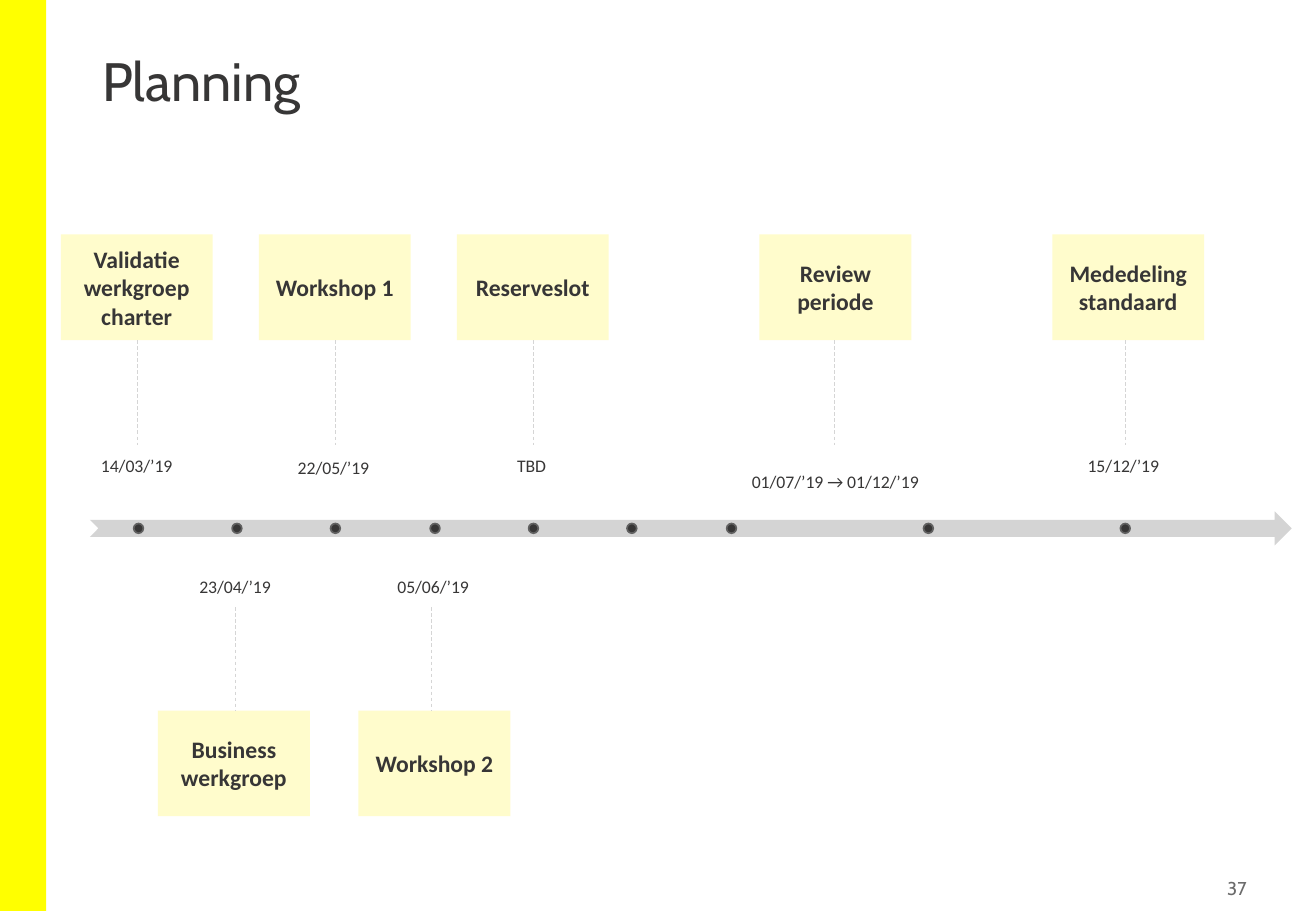
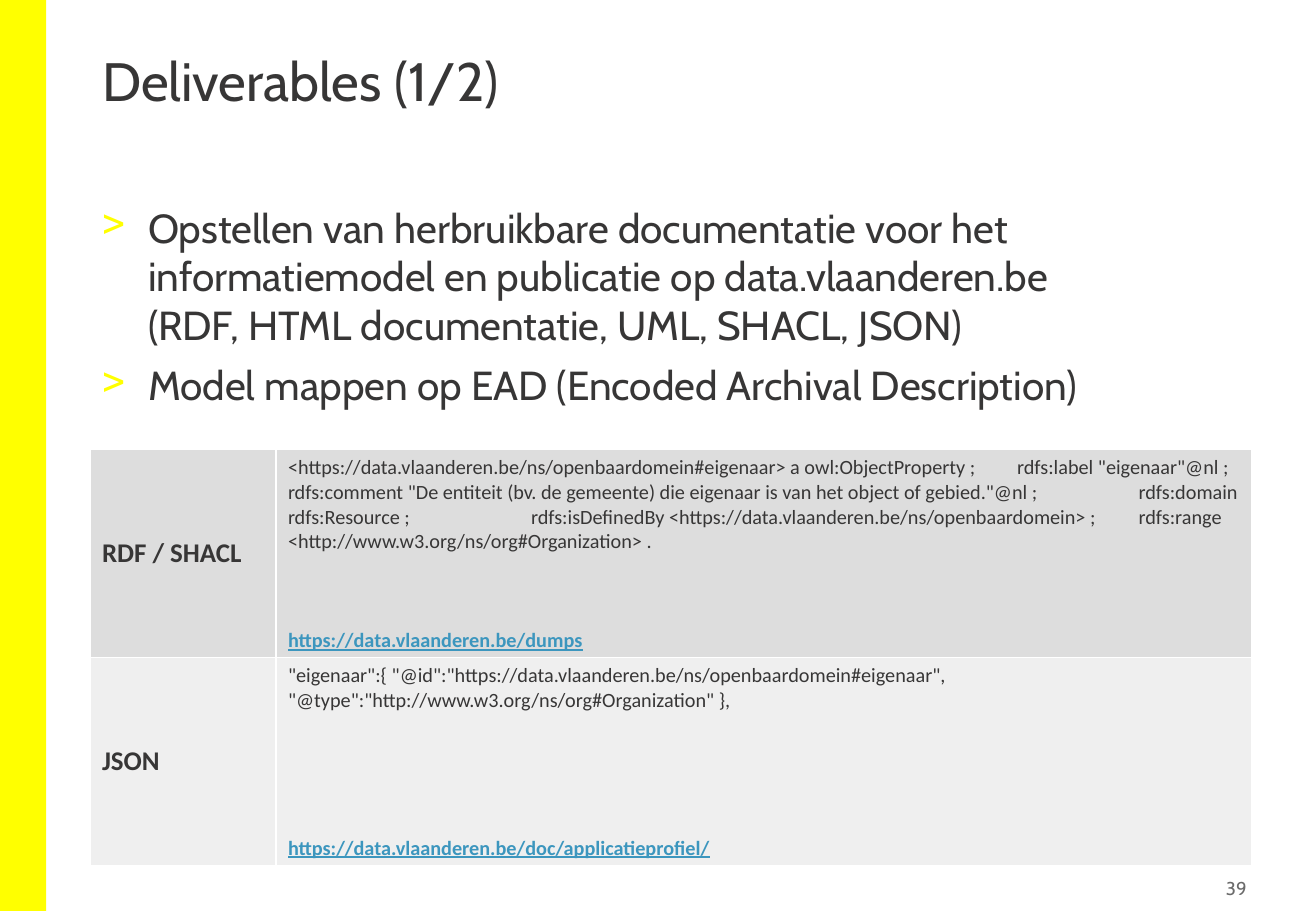
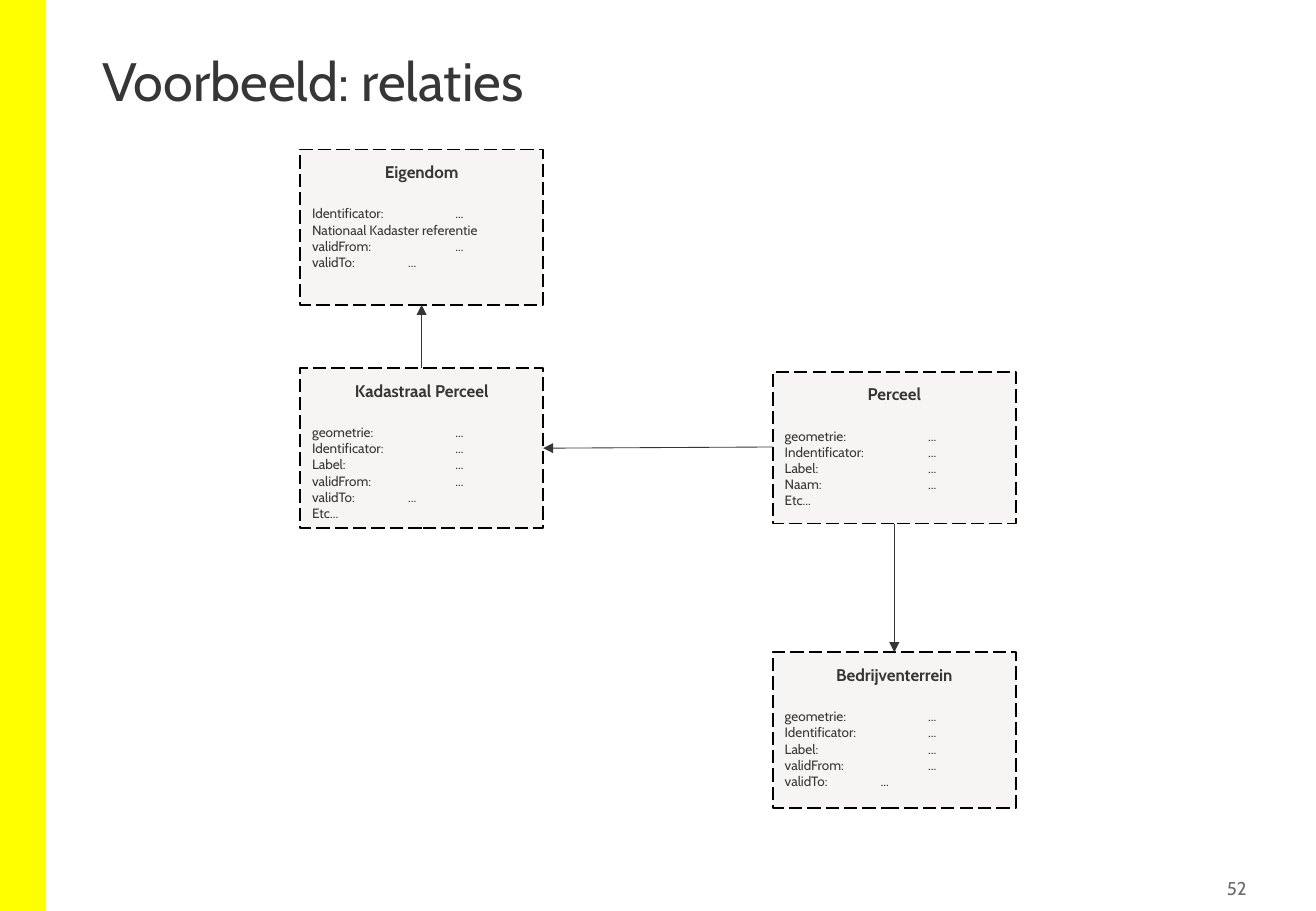
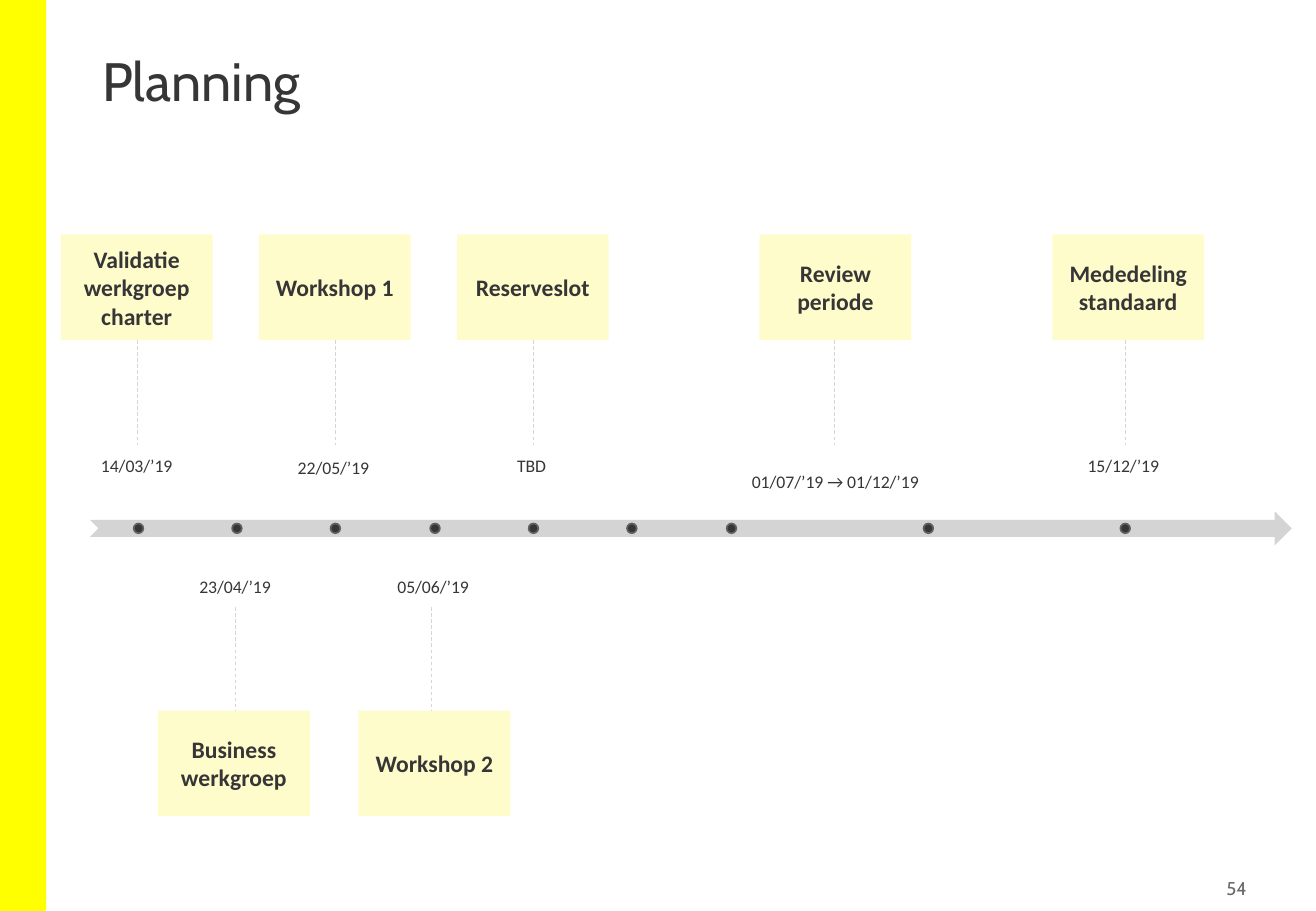
from dataclasses import dataclass
from typing import Optional

from pptx import Presentation
from pptx.dml.color import RGBColor
from pptx.enum.dml import MSO_LINE
from pptx.enum.shapes import MSO_CONNECTOR, MSO_SHAPE
from pptx.enum.text import MSO_ANCHOR, MSO_AUTO_SIZE, PP_ALIGN
from pptx.oxml import parse_xml
from pptx.oxml.ns import nsdecls, qn
from pptx.shapes.autoshape import Shape
from pptx.slide import Slide
from pptx.table import _Cell as Cell
from pptx.text.text import TextFrame
from pptx.util import Emu, Pt

SCALE = 9144
INK, YELLOW, CREAM, WHITE = "373636", "FFFF00", "FFFCCC", "FFFFFF"
BLUE, GREY, RING, STEM = "3C96BE", "D4D4D4", "616161", "D5D5D5"
HEAD, BODY = "Cabin", "Calibri"
LEFT, MID, RIGHT = PP_ALIGN.LEFT, PP_ALIGN.CENTER, PP_ALIGN.RIGHT


@dataclass
class Event:
    """A card on the time line, with its date and stem."""

    text: str
    date: str
    left: int
    stem: int
    slot: Optional[int]
    low: bool = False
    drop: int = 0


@dataclass
class Entry:
    """A table row: label, code, link, gap above the link and fill."""

    label: str
    code: str
    link: str
    gap: int
    fill: str


@dataclass
class Model:
    """A class box with its fields."""

    name: str
    left: int
    top: int
    high: int
    rows: list[str]


EVENTS = [
    Event("Validatie werkgroep charter", "14/03/’19", 50, 113, 0),
    Event("Workshop 1", "22/05/’19", 213, 276, 2, drop=2),
    Event("Reserveslot", "TBD", 376, 439, 4),
    Event("Review periode", "01/07/’19 → 01/12/’19", 625, 687, None),
    Event("Mededeling standaard", "15/12/’19", 866, 926, 10),
    Event("Business werkgroep", "23/04/’19", 130, 194, 1, low=True),
    Event("Workshop 2", "05/06/’19", 295, 355, 3, low=True),
]
TICKS = [0, 1, 2, 3, 4, 5, 6, 8, 10]
GOALS = [
    "Opstellen van herbruikbare documentatie voor het informatiemodel en "
    "publicatie op data.vlaanderen.be\v(RDF, HTML documentatie, UML, SHACL, JSON)",
    "Model mappen op EAD (Encoded Archival Description)",
]
ENTRIES = [
    Entry(
        "RDF / SHACL",
        "<https://data.vlaanderen.be/ns/openbaardomein#eigenaar> a owl:ObjectProperty ;"
        '\trdfs:label "eigenaar"@nl ;'
        '\trdfs:comment "De entiteit (bv. de gemeente) die eigenaar is van het object of gebied."@nl ;'
        "\trdfs:domain rdfs:Resource ;"
        "\trdfs:isDefinedBy <https://data.vlaanderen.be/ns/openbaardomein> ;"
        "\trdfs:range <http://www.w3.org/ns/org#Organization> .",
        "https://data.vlaanderen.be/dumps", 44, "DDDDDD",
    ),
    Entry(
        "JSON",
        '"eigenaar":{ "@id":"https://data.vlaanderen.be/ns/openbaardomein#eigenaar", '
        '"@type":"http://www.w3.org/ns/org#Organization" },',
        "https://data.vlaanderen.be/doc/applicatieprofiel/", 73, "EFEFEF",
    ),
]
FROM, TO = "validFrom:\t\t...", "validTo:\t\t..."
SHAPE, IDENT, LABEL = "geometrie:\t\t...", "Identificator:\t\t...", "Label:\t\t\t..."
MODELS = [
    Model("Kadastraal Perceel", 247, 303, 132, [SHAPE, IDENT, LABEL, FROM, TO, "Etc..."]),
    Model("Bedrijventerrein", 636, 537, 128, [SHAPE, IDENT, LABEL, FROM, TO]),
    Model("Perceel", 636, 306, 125,
          [SHAPE, "Indentificator:\t\t...", LABEL, "Naam:\t\t\t...", "Etc..."]),
    Model("Eigendom", 247, 123, 128, [IDENT, "Nationaal Kadaster referentie", FROM, TO]),
]
LINKS = [(736, 431, 736, 537), (636, 368, 447, 369), (347, 303, 347, 251)]


def px(size: int) -> Emu:
    """Turn px into EMU."""
    return Emu(size * SCALE)


def tint(code: str) -> RGBColor:
    """Turn a hex string into a colour."""
    return RGBColor.from_string(code)


def write(frame: TextFrame, text: str, *, size: float, font: str = BODY, color: str = INK,
          bold: bool = False, under: bool = False, align: PP_ALIGN = LEFT,
          before: int = 0, line: Optional[float] = None, mark: str = "",
          tabs: tuple[int, ...] = ()) -> None:
    """Add one formatted paragraph to a text frame."""
    para = frame.paragraphs[0]
    if para.runs:
        para = frame.add_paragraph()
        para.space_before = Pt(before)
    para.text = text
    para.alignment = align
    if line:
        para.line_spacing = line
    props = para._p.get_or_add_pPr()
    if mark:
        props.set("marL", str(px(38)))
        props.set("indent", str(px(-38)))
        props.append(parse_xml(
            f'<a:buClr {nsdecls("a")}><a:srgbClr val="{YELLOW}"/></a:buClr>'))
        props.append(parse_xml(f'<a:buChar {nsdecls("a")} char="{mark}"/>'))
    if tabs:
        stops = "".join(f'<a:tab pos="{px(stop)}" algn="l"/>' for stop in tabs)
        props.append(parse_xml(f'<a:tabLst {nsdecls("a")}>{stops}</a:tabLst>'))
    for run in para.runs:
        run.font.size = Pt(size)
        run.font.name = font
        run.font.bold = bold
        run.font.underline = under
        run.font.color.rgb = tint(color)


def inset(frame: TextFrame, side: int, top: int, base: int) -> None:
    """Set the inner margins of a text frame."""
    frame.margin_left = frame.margin_right = px(side)
    frame.margin_top, frame.margin_bottom = px(top), px(base)


def block(slide: Slide, kind: MSO_SHAPE, left: int, top: int, wide: int, high: int,
          fill: str, edge: str = "") -> Shape:
    """Draw a filled preset shape."""
    shape = slide.shapes.add_shape(kind, px(left), px(top), px(wide), px(high))
    shape.shadow.inherit = False
    shape.fill.solid()
    shape.fill.fore_color.rgb = tint(fill)
    if edge:
        shape.line.color.rgb = tint(edge)
        shape.line.width = Pt(1)
    else:
        shape.line.fill.background()
    shape.text_frame.word_wrap = True
    return shape


def label(slide: Slide, left: int, top: int, wide: int, high: int,
          anchor: MSO_ANCHOR = MSO_ANCHOR.TOP) -> TextFrame:
    """Add a wrapping text box."""
    frame = slide.shapes.add_textbox(px(left), px(top), px(wide), px(high)).text_frame
    frame.word_wrap = True
    frame.vertical_anchor = anchor
    return frame


def link(slide: Slide, ends: tuple[int, int, int, int], color: str,
         dash: Optional[MSO_LINE] = None, arrow: bool = False) -> None:
    """Draw a thin straight line, dashed or with an arrowhead."""
    line = slide.shapes.add_connector(MSO_CONNECTOR.STRAIGHT, *map(px, ends))
    line.line.color.rgb = tint(color)
    line.line.width = Pt(0.5)
    if dash:
        line.line.dash_style = dash
    props = line.element.spPr
    if arrow:
        props.find(qn("a:ln")).append(
            parse_xml(f'<a:tailEnd {nsdecls("a")} type="triangle"/>'))
    props.append(parse_xml(f'<a:effectLst {nsdecls("a")}/>'))


def start(deck: Presentation, title: str, page: int) -> Slide:
    """Add a slide with its title, page number and shared band."""
    plan = deck.slide_layouts[5]
    slide = deck.slides.add_slide(plan)
    if len(deck.slides) == 1:
        band = block(slide, MSO_SHAPE.RECTANGLE, 0, 0, 38, 750, YELLOW)
        plan.shapes.element.append(band.element)
    head = slide.shapes.title
    head.left, head.top, head.width, head.height = map(px, (74, 40, 934, 108))
    frame = head.text_frame
    frame.word_wrap = True
    frame.auto_size = MSO_AUTO_SIZE.NONE
    frame.vertical_anchor = MSO_ANCHOR.TOP
    write(frame, title, size=32, font=HEAD, line=0.9)
    foot = label(slide, 950, 717, 81, 29, MSO_ANCHOR.MIDDLE)
    inset(foot, 5, 5, 5)
    write(foot, str(page), size=11, font=HEAD, color="6B6B6B", align=RIGHT)
    return slide


def shift(slot: int) -> int:
    """Give the offset of a slot on the time line."""
    return round(81.25 * slot)


def place(slide: Slide, event: Event) -> None:
    """Draw the card, stem and date of one event."""
    top, stem = (585, 500) if event.low else (193, 280)
    card = block(slide, MSO_SHAPE.RECTANGLE, event.left, top, 125, 87, CREAM)
    write(card.text_frame, event.text, size=14, bold=True, align=MID)
    link(slide, (event.stem, stem, event.stem, stem + 86 - event.low), STEM, MSO_LINE.DASH)
    if event.slot is None:
        date = label(slide, 560, 366, 255, 61)
        inset(date, 10, 22, 5)
        write(date, event.date, size=10.5, align=MID)
        return
    anchor = MSO_ANCHOR.TOP if event.low else MSO_ANCHOR.BOTTOM
    top = 468 if event.low else 182 + event.drop
    date = label(slide, 74 + shift(event.slot), top, 77, 218, anchor)
    inset(date, 0, 9, 9)
    write(date, event.date, size=10.5, align=MID, line=0.9)


def planning(deck: Presentation, page: int) -> None:
    """Build a time line slide."""
    slide = start(deck, "Planning", page)
    block(slide, MSO_SHAPE.NOTCHED_RIGHT_ARROW, 74, 421, 989, 28, GREY)
    for slot in TICKS:
        block(slide, MSO_SHAPE.OVAL, 110 + shift(slot), 431, 8, 8, INK, RING)
    for event in EVENTS:
        place(slide, event)


def paint(cell: Cell, fill: str) -> None:
    """Fill a cell and give it white borders."""
    cell.fill.solid()
    cell.fill.fore_color.rgb = tint(fill)
    props = cell._tc.get_or_add_tcPr()
    for spot, side in enumerate("LRTB"):
        props.insert(spot, parse_xml(
            f'<a:ln{side} {nsdecls("a")} w="12700"><a:solidFill>'
            f'<a:srgbClr val="{WHITE}"/></a:solidFill></a:ln{side}>'))


def goals(deck: Presentation, page: int) -> None:
    """Build the slide with bullets and a code table."""
    slide = start(deck, "Deliverables (1/2)", page)
    frame = label(slide, 74, 162, 934, 546)
    for goal in GOALS:
        write(frame, goal, size=24, font=HEAD, before=7, mark=">")
    grid = slide.shapes.add_table(
        len(ENTRIES), 2, px(74), px(370), px(956), px(338)).table
    grid.first_row = grid.horz_banding = False
    for column, wide in zip(grid.columns, (153, 803)):
        column.width = px(wide)
    for row, entry in enumerate(ENTRIES):
        grid.rows[row].height = px(169)
        name, code = grid.cell(row, 0), grid.cell(row, 1)
        paint(name, entry.fill)
        paint(code, entry.fill)
        name.vertical_anchor = MSO_ANCHOR.MIDDLE
        write(name.text_frame, entry.label, size=16, bold=True)
        write(code.text_frame, entry.code, size=12, tabs=tuple(range(100, 900, 100)))
        write(code.text_frame, entry.link, size=12, color=BLUE, bold=True,
              under=True, before=entry.gap)


def models(deck: Presentation, page: int) -> None:
    """Build the slide with linked class boxes."""
    slide = start(deck, "Voorbeeld: relaties", page)
    for model in MODELS:
        box = block(slide, MSO_SHAPE.RECTANGLE, model.left, model.top, 200, model.high,
                    "F6F5F3", "000000")
        box.line.dash_style = MSO_LINE.LONG_DASH
        frame = box.text_frame
        frame.vertical_anchor = MSO_ANCHOR.TOP
        inset(frame, 10, 10, 10)
        write(frame, model.name, size=10, font=HEAD, bold=True, align=MID)
        for spot, row in enumerate(model.rows):
            write(frame, row, size=8, font=HEAD, before=0 if spot else 14,
                  tabs=(39, 79, 118))
    for ends in LINKS:
        link(slide, ends, INK, arrow=True)


def main() -> None:
    """Build and save the deck."""
    deck = Presentation()
    deck.slide_width, deck.slide_height = px(1083), px(750)
    planning(deck, 37)
    goals(deck, 39)
    models(deck, 52)
    planning(deck, 54)
    deck.save("out.pptx")


if __name__ == "__main__":
    main()
